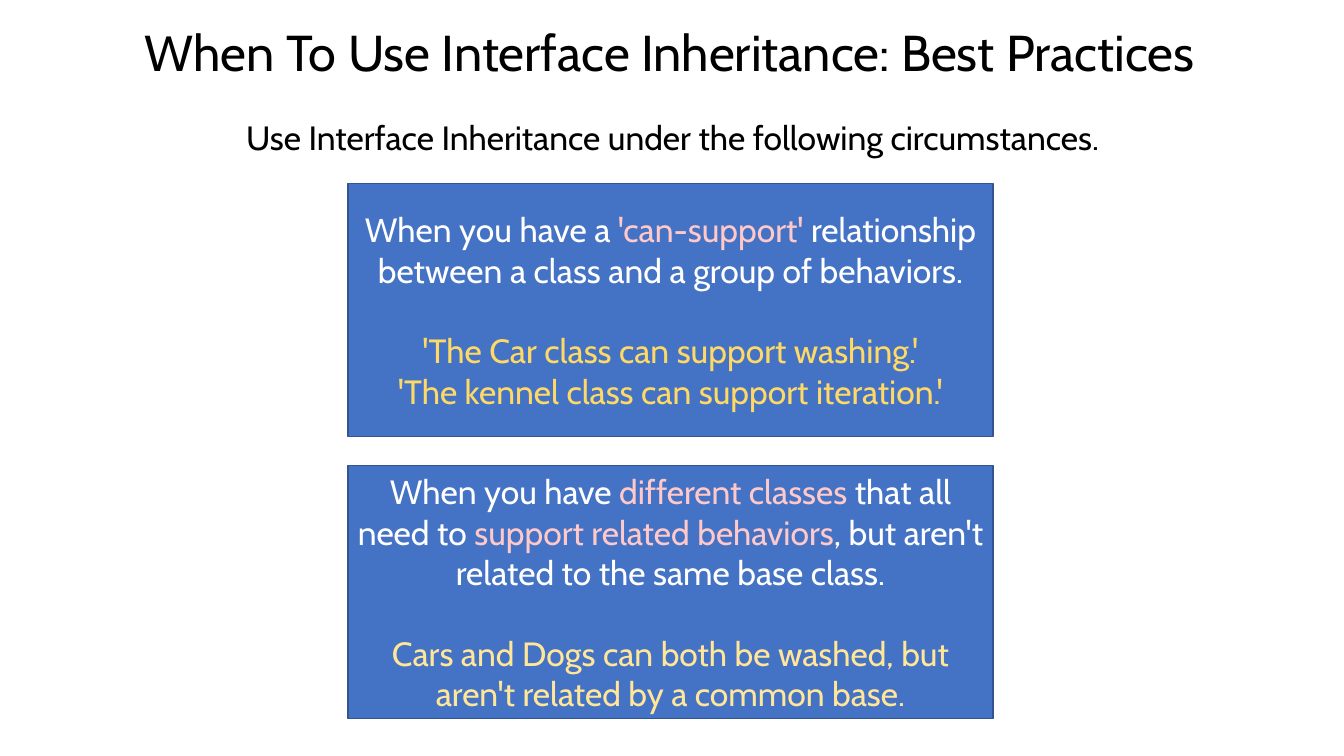
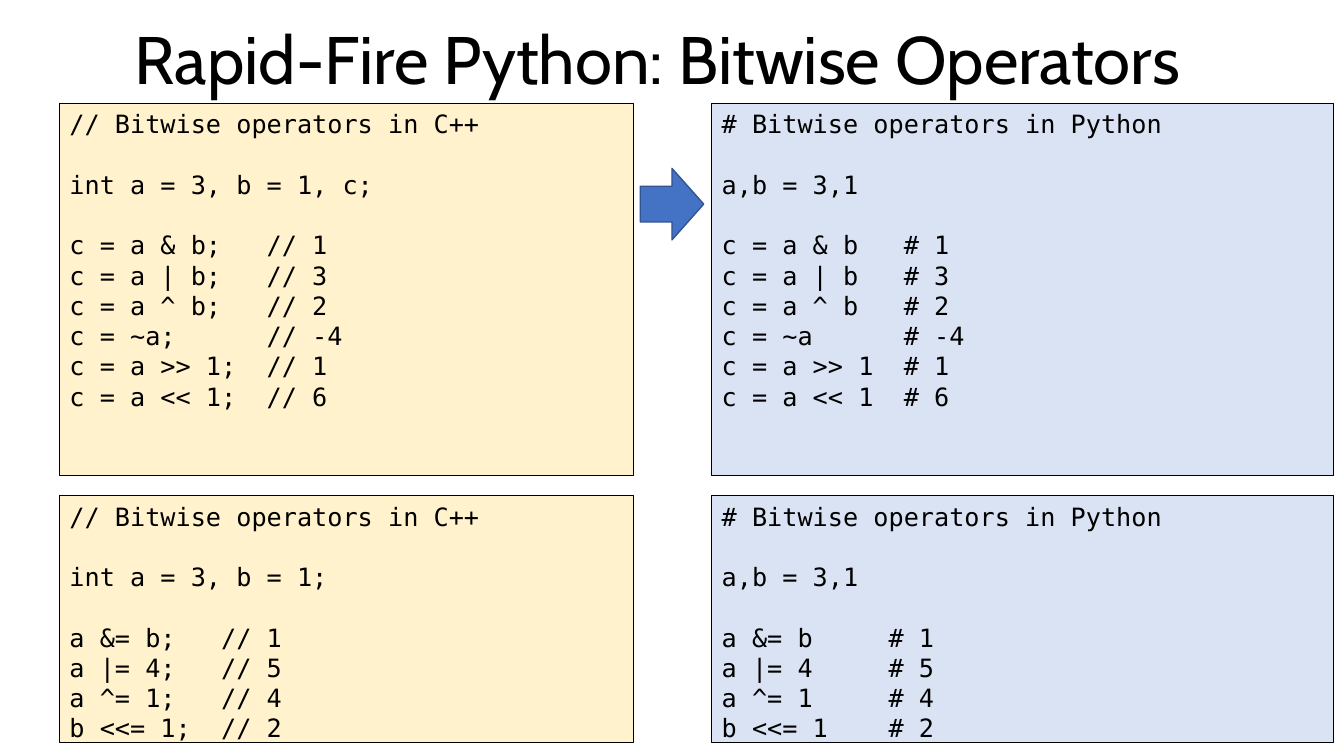
from dataclasses import dataclass

from pptx import Presentation
from pptx.dml.color import RGBColor
from pptx.enum.shapes import MSO_SHAPE as Shape
from pptx.enum.text import MSO_ANCHOR as Anchor, MSO_AUTO_SIZE as AutoSize, PP_ALIGN as Align
from pptx.util import Emu, Pt

EMU_PER_PX = 9144  # 100 px to the inch


def px(n):
    return Emu(n * EMU_PER_PX)


@dataclass(frozen=True)
class Theme:
    text_font: str = "Cabin"
    code_font: str = "DejaVu Sans Mono"
    ink: str = "000000"
    white: str = "FFFFFF"
    blue: str = "4472C4"
    blue_edge: str = "325491"
    pink: str = "FFC9C9"
    gold: str = "FFD966"
    pale_gold: str = "FFE699"
    cpp_fill: str = "FFF2CC"
    python_fill: str = "DAE3F3"
    title_size: int = 36
    big_title_size: int = 48
    text_size: int = 24
    code_size: int = 18
    blank_line: float = 1.2  # height of a skipped line, in type sizes


T = Theme()


def write(tf, groups, *, size=T.text_size, font=T.text_font, color=T.ink,
          align=Align.CENTER, anchor=Anchor.TOP, line_spacing=None):
    """Fill tf with groups of paragraphs, one line's space between groups.

    A paragraph is a string or a list of (text, colour) runs.
    """
    tf.word_wrap = True
    tf.auto_size = AutoSize.NONE
    tf.vertical_anchor = anchor
    tf.margin_left = tf.margin_right = px(10)
    tf.margin_top = tf.margin_bottom = px(5)
    started = False
    for group in groups:
        for i, runs in enumerate(group):
            p = tf.add_paragraph() if started else tf.paragraphs[0]
            p.alignment = align
            p.space_before = Pt(size * T.blank_line if started and i == 0 else 0)
            if line_spacing:
                p.line_spacing = line_spacing
            started = True
            for text, run_color in [(runs, color)] if isinstance(runs, str) else runs:
                r = p.add_run()
                r.text = text
                r.font.name = font
                r.font.size = Pt(size)
                r.font.color.rgb = RGBColor.from_string(run_color)


class Deck:
    def __init__(self):
        self.prs = Presentation()
        self.prs.slide_width, self.prs.slide_height = px(1333), px(750)
        self.s = None

    def slide(self, title, box, **style):
        """Start a slide with its title placed in box."""
        self.s = self.prs.slides.add_slide(self.prs.slide_layouts[5])
        sp = self.s.shapes.title
        sp.left, sp.top, sp.width, sp.height = map(px, box)
        write(sp.text_frame, [[title]], anchor=Anchor.MIDDLE, **style)

    def label(self, text, box):
        sp = self.s.shapes.add_textbox(*map(px, box))
        write(sp.text_frame, [[text]])

    def shape(self, box, kind=Shape.RECTANGLE, fill=T.blue, line=T.blue_edge, weight=1):
        sp = self.s.shapes.add_shape(kind, *map(px, box))
        sp.shadow.inherit = False
        sp.fill.solid()
        sp.fill.fore_color.rgb = RGBColor.from_string(fill)
        sp.line.color.rgb = RGBColor.from_string(line)
        sp.line.width = Pt(weight)
        return sp

    def card(self, groups, box):
        write(self.shape(box).text_frame, groups, color=T.white, anchor=Anchor.MIDDLE)

    def code(self, source, box, fill):
        sp = self.shape(box, fill=fill, line=T.ink, weight=0.75)
        groups = [block.split("\n") for block in source.split("\n\n")]
        write(sp.text_frame, groups, size=T.code_size, font=T.code_font, align=Align.LEFT)


CAN_SUPPORT = [
    [[("When you have a ", T.white), ("'can-support' ", T.pink),
      ("relationship between a class and a group of behaviors.", T.white)]],
    [[("'The Car class can support washing.'", T.gold)],
     [("'The kennel class can support iteration.'", T.gold)]],
]
RELATED_BEHAVIORS = [
    [[("When you have ", T.white), ("different classes ", T.pink),
      ("that all need to ", T.white), ("support related behaviors", T.pink),
      (", but aren't related to the same base class.", T.white)]],
    [[("Cars and Dogs can both be washed, but aren't related by a common base.",
       T.pale_gold)]],
]

CPP_BINARY = """// Bitwise operators in C++

int a = 3, b = 1, c;

c = a & b;   // 1
c = a | b;   // 3
c = a ^ b;   // 2
c = ~a;      // -4
c = a >> 1;  // 1
c = a << 1;  // 6"""
PYTHON_BINARY = """# Bitwise operators in Python

a,b = 3,1

c = a & b   # 1
c = a | b   # 3
c = a ^ b   # 2
c = ~a      # -4
c = a >> 1  # 1
c = a << 1  # 6"""
CPP_ASSIGN = """// Bitwise operators in C++

int a = 3, b = 1;

a &= b;   // 1
a |= 4;   // 5
a ^= 1;   // 4
b <<= 1;  // 2"""
PYTHON_ASSIGN = """# Bitwise operators in Python

a,b = 3,1

a &= b     # 1
a |= 4     # 5
a ^= 1     # 4
b <<= 1    # 2"""


def inheritance_slide(deck):
    deck.slide("When To Use Interface Inheritance: Best Practices",
               (-5, -8, 1338, 125), size=T.title_size, line_spacing=0.9)
    deck.label("Use Interface Inheritance under the following circumstances.",
               (43, 111, 1248, 50))
    top, height, gap = 182, 251, 29
    for i, groups in enumerate((CAN_SUPPORT, RELATED_BEHAVIORS)):
        deck.card(groups, (345, top + i * (height + gap), 640, height))


def bitwise_slide(deck):
    deck.slide("Rapid-Fire Python: Bitwise Operators",
               (28, 12, 1248, 91), size=T.big_title_size)
    columns = ((59, 569, T.cpp_fill), (706, 617, T.python_fill))
    rows = ((103, 369, (CPP_BINARY, PYTHON_BINARY)),
            (492, 245, (CPP_ASSIGN, PYTHON_ASSIGN)))
    for top, height, sources in rows:
        for (left, width, fill), source in zip(columns, sources):
            deck.code(source, (left, top, width, height), fill)
    deck.shape((635, 167, 63, 71), Shape.RIGHT_ARROW)


def main():
    deck = Deck()
    inheritance_slide(deck)
    bitwise_slide(deck)
    deck.prs.save("out.pptx")


if __name__ == "__main__":
    main()
